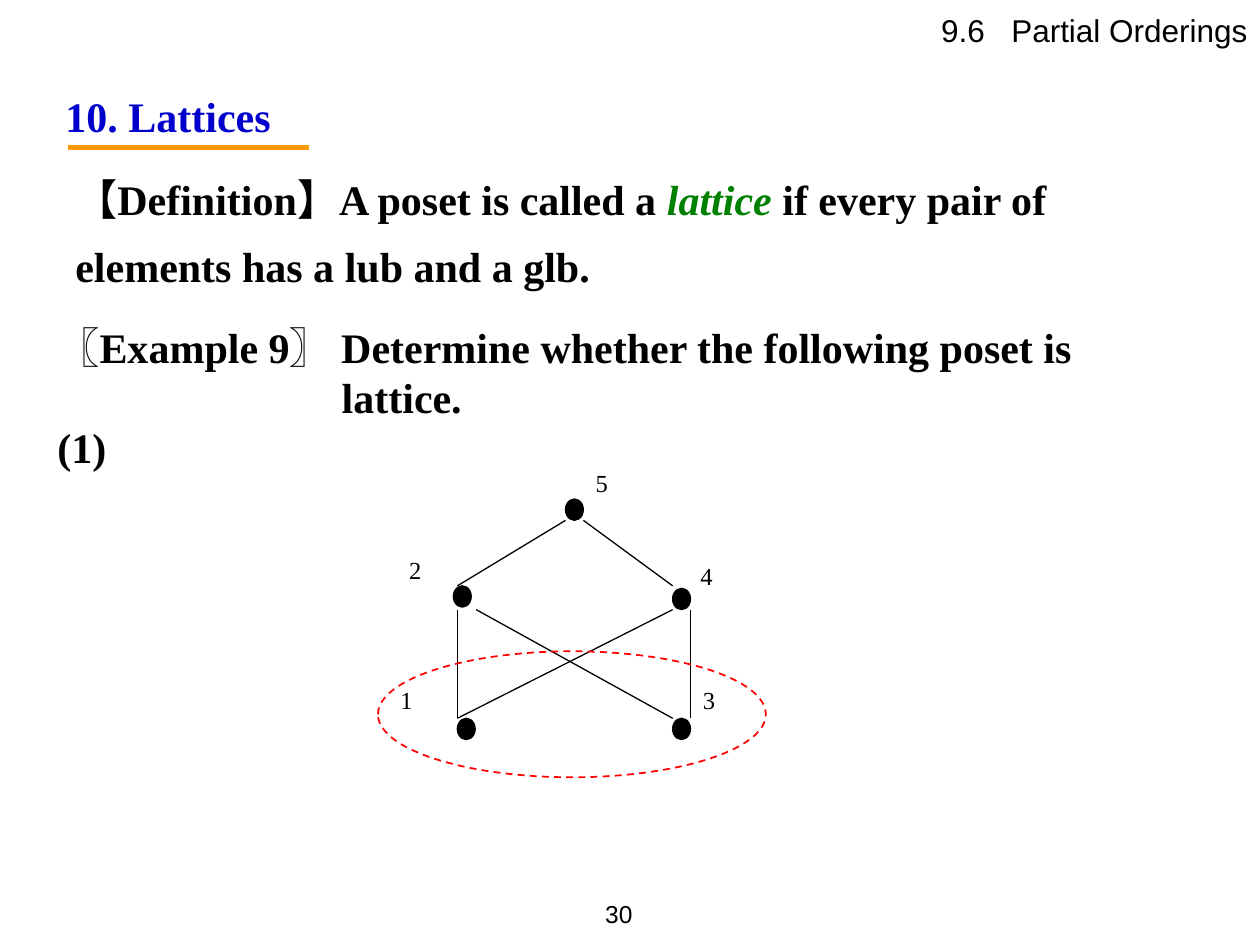
from lxml import etree
from pptx import Presentation
from pptx import util as u
from pptx.dml.color import RGBColor
from pptx.enum import dml, shapes, text
from pptx.oxml import ns

Cm, Pt = u.Cm, u.Pt
COLORS = {"black": "000000", "blue": "0000CC", "green": "008000",
          "orange": "FF9900", "red": "FF0000"}
SERIF, SANS, CJK = "Times New Roman", "Arial", "Noto Sans CJK SC"
LEFT, RIGHT = text.PP_ALIGN.LEFT, text.PP_ALIGN.RIGHT

# Hasse diagram: name -> (dot left, dot top, label left, label top), in cm
DOT_W, DOT_H = 0.36, 0.43
NODES = {"5": (11.4, 10.06, 11.76, 9.32),
         "2": (9.14, 11.81, 8.0, 11.07),
         "4": (13.56, 11.86, 13.87, 11.18),
         "1": (9.22, 14.48, 7.82, 13.69),
         "3": (13.56, 14.48, 13.92, 13.69)}
EDGES = [(9.22, 12.29, 9.22, 14.48), (9.22, 14.48, 13.56, 12.29),
         (9.6, 12.29, 13.56, 14.48), (13.92, 14.48, 13.92, 12.29),
         (9.22, 11.81, 11.4, 10.49), (11.76, 10.49, 13.56, 11.81)]


def rgb(name):
    return RGBColor.from_string(COLORS[name])


def add_run(p, content, size=24, font=SERIF, color="black", bold=False,
            italic=False, spacing=None):
    r = p.add_run()
    r.text = content
    f = r.font
    f.size, f.name, f.bold, f.italic = Pt(size), font, bold, italic
    f.color.rgb = rgb(color)
    rPr = r._r.get_or_add_rPr()
    etree.SubElement(rPr, ns.qn("a:ea")).set("typeface", CJK)
    if spacing:
        rPr.set("spc", str(spacing * 100))


def add_text(parent, box, paragraphs, align=LEFT, before=0, margins=(),
             anchor=text.MSO_ANCHOR.TOP, **fmt):
    """Each paragraph is a list of (text, format) runs; fmt applies to all.
    margins holds (left margin, first-line indent) in cm per paragraph."""
    tb = parent.add_textbox(*map(Cm, box))
    tf = tb.text_frame
    tf.word_wrap, tf.vertical_anchor = True, anchor
    for i, runs in enumerate(paragraphs):
        p = tf.add_paragraph() if i else tf.paragraphs[0]
        p.alignment = align
        if i and before:
            p.space_before = Pt(before)
        if margins:
            left, indent = margins[i]
            pPr = p._p.get_or_add_pPr()
            pPr.set("marL", str(Cm(left)))
            pPr.set("indent", str(Cm(indent)))
        for content, own in runs:
            add_run(p, content, **{**fmt, **own})


def add_line(parent, points, color="black", width=0.75):
    c = parent.add_connector(shapes.MSO_CONNECTOR.STRAIGHT, *map(Cm, points))
    c.line.color.rgb, c.line.width = rgb(color), Pt(width)
    etree.SubElement(c._element.spPr, ns.qn("a:effectLst"))


def add_ellipse(parent, box, line, width=0.75, fill=None, dash=None):
    sp = parent.add_shape(shapes.MSO_SHAPE.OVAL, *map(Cm, box))
    sp.shadow.inherit = False
    if fill:
        sp.fill.solid()
        sp.fill.fore_color.rgb = rgb(fill)
    else:
        sp.fill.background()
    sp.line.color.rgb, sp.line.width = rgb(line), Pt(width)
    if dash:
        sp.line.dash_style = dash


def add_diagram(s):
    g = s.shapes.add_group_shape().shapes
    for x, y, _, _ in NODES.values():
        add_ellipse(g, (x, y, DOT_W, DOT_H), "black", fill="black")
    for edge in EDGES:
        add_line(g, edge)
    for name, (_, _, x, y) in NODES.items():
        add_text(g, (x, y, 2.16, 2.18), [[(name, {})]], size=14)


def main():
    prs = Presentation()
    prs.slide_width, prs.slide_height = Cm(25.4), Cm(19.05)
    s = prs.slides.add_slide(prs.slide_layouts[6])
    hanging = (1.27, -1.27)

    # Page number
    add_text(s.shapes, (11.3, 17.78, 1.7, 1.27), [[("30", {})]], align=RIGHT,
             anchor=text.MSO_ANCHOR.MIDDLE, size=14, font=SANS)

    # Heading and its rule
    add_text(s.shapes, (1.07, 1.7, 22.43, 1.27), [[("10. Lattices", {})]],
             color="blue", bold=True)
    add_line(s.shapes, (1.37, 2.97, 6.22, 2.97), "orange", 3)

    # Example
    add_text(s.shapes, (0.91, 6.35, 22.66, 3.3), [
        [("〖", {"font": CJK}), ("Example 9", {}), ("〗 ", {"font": CJK}),
         ("Determine whether the following poset is", {})],
        [("lattice.", {})],
        [("(1)", {})],
    ], margins=[hanging, (5.73, 0), hanging], bold=True)

    # Definition
    add_text(s.shapes, (1.27, 3.38, 22.66, 2.62), [
        [("【Definition】A poset is called a ", {}),
         ("lattice ", {"color": "green", "italic": True}),
         ("if every pair of", {})],
        [("elements has a lub and a glb.", {})],
    ], before=9, margins=[hanging, hanging], bold=True)

    # Hasse diagram with the lower pair marked
    add_diagram(s)
    add_ellipse(s.shapes, (7.62, 13.13, 7.82, 2.54), "red", 1,
                dash=dml.MSO_LINE.DASH)

    # Section header
    add_text(s.shapes, (13.34, 0.1, 12.06, 1.02),
             [[("9.6", {}), (" ", {"spacing": 10}), ("Partial Orderings", {})]],
             align=RIGHT, size=18, font=SANS)

    prs.save("out.pptx")


if __name__ == "__main__":
    main()
